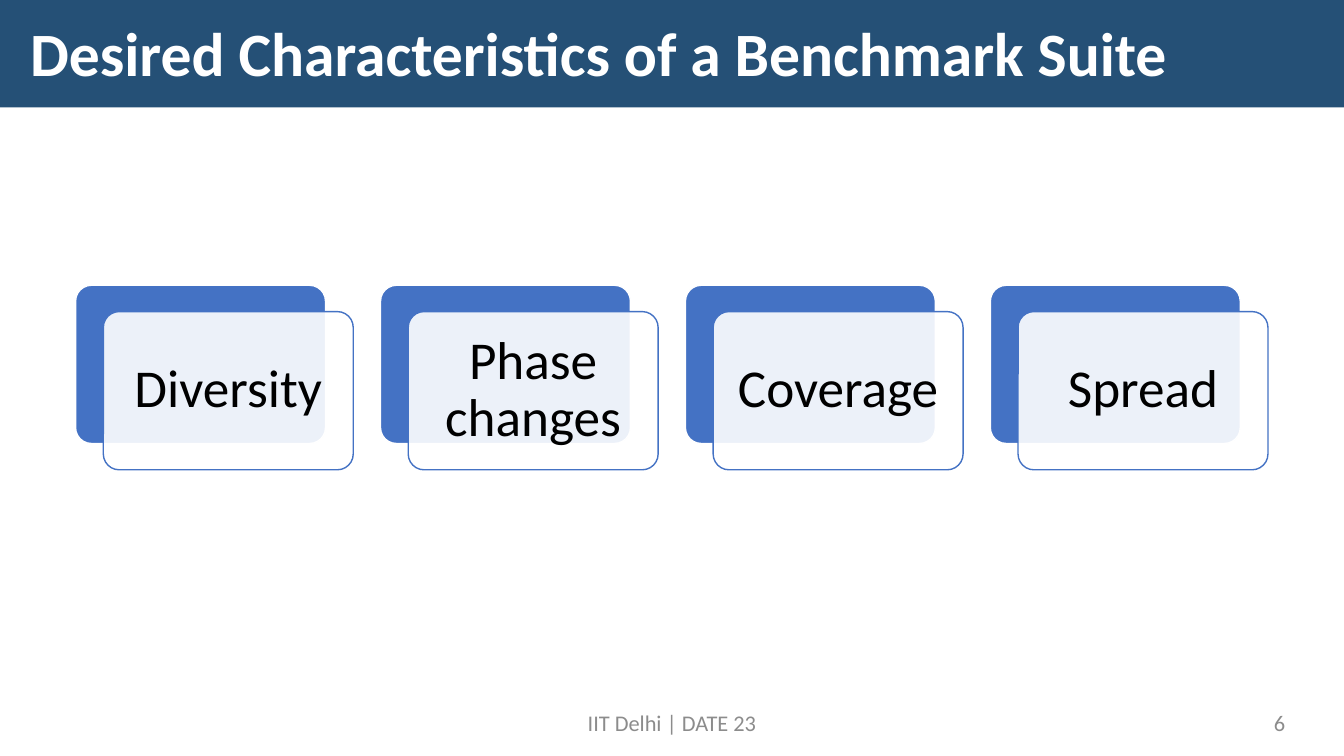
import dataclasses

import pptx
import pptx.dml.color
import pptx.enum.shapes
import pptx.enum.text
import pptx.oxml
import pptx.oxml.ns
import pptx.util

Pt = pptx.util.Pt
Align = pptx.enum.text.PP_ALIGN
Anchor = pptx.enum.text.MSO_ANCHOR
Kind = pptx.enum.shapes.MSO_SHAPE

COLORS = {
    "banner": "255076",
    "card": "4472C4",
    "white": "FFFFFF",
    "text": "000000",
    "footer": "8C8C8C",
}
FONT = "Calibri"
CHARACTERISTICS = ["Diversity", "Phase changes", "Coverage", "Spread"]
CARD_LEFT, CARD_TOP, CARD_STEP = 54, 203.8, 217.8
CARD_WIDTH, CARD_HEIGHT = 178.5, 113
PANEL_SHIFT_X, PANEL_SHIFT_Y = 19.8, 18.8
PANEL_MARGIN = 11.5


@dataclasses.dataclass
class Area:
    left: float
    top: float
    width: float
    height: float

    def lengths(self) -> list:
        return [Pt(self.left), Pt(self.top), Pt(self.width), Pt(self.height)]


@dataclasses.dataclass
class Style:
    size: float
    color: str
    align: Align
    anchor: Anchor
    bold: bool = False
    spacing: float = 1.0
    wrap: bool = True


@dataclasses.dataclass
class Label:
    text: str
    area: Area
    style: Style


def rgb(name: str) -> pptx.dml.color.RGBColor:
    return pptx.dml.color.RGBColor.from_string(COLORS[name])


def write(box, text: str, style: Style) -> None:
    frame = box.text_frame
    frame.text = text
    frame.word_wrap = style.wrap
    frame.vertical_anchor = style.anchor
    para = frame.paragraphs[0]
    para.alignment = style.align
    para.line_spacing = style.spacing
    font = para.runs[0].font
    font.name = FONT
    font.size = Pt(style.size)
    font.bold = style.bold
    font.color.rgb = rgb(style.color)


def add_label(page, label: Label) -> None:
    box = page.shapes.add_textbox(*label.area.lengths())
    write(box, label.text, label.style)


def add_block(page, kind: Kind, area: Area, fill: str, line: str = ""):
    block = page.shapes.add_shape(kind, *area.lengths())
    block.shadow.inherit = False
    block.fill.solid()
    block.fill.fore_color.rgb = rgb(fill)
    if line:
        block.line.color.rgb = rgb(line)
        block.line.width = Pt(1)
    else:
        block.line.fill.background()
    return block


def add_rounded(page, area: Area, fill: str, line: str):
    block = add_block(page, Kind.ROUNDED_RECTANGLE, area, fill, line)
    block.adjustments[0] = 0.1
    return block


def set_opacity(block, percent: int) -> None:
    color = block.fill._xPr.find(".//" + pptx.oxml.ns.qn("a:srgbClr"))
    alpha = pptx.oxml.parse_xml(
        f'<a:alpha {pptx.oxml.ns.nsdecls("a")} val="{percent * 1000}"/>')
    color.append(alpha)


def add_card(page, text: str, left: float) -> None:
    back = Area(left, CARD_TOP, CARD_WIDTH, CARD_HEIGHT)
    add_rounded(page, back, "card", "white")
    front = Area(left + PANEL_SHIFT_X, CARD_TOP + PANEL_SHIFT_Y, CARD_WIDTH, CARD_HEIGHT)
    panel = add_rounded(page, front, "white", "card")
    set_opacity(panel, 90)
    write(panel, text, Style(38, "text", Align.CENTER, Anchor.MIDDLE, spacing=0.9))
    frame = panel.text_frame
    frame.margin_left = frame.margin_right = Pt(PANEL_MARGIN)
    frame.margin_top = frame.margin_bottom = Pt(PANEL_MARGIN)


def main() -> None:
    deck = pptx.Presentation()
    deck.slide_width, deck.slide_height = Pt(960), Pt(540)
    page = deck.slides.add_slide(deck.slide_layouts[6])

    # Title banner
    add_block(page, Kind.RECTANGLE, Area(0, 0, 960, 76.8), "banner")
    title_style = Style(44, "white", Align.LEFT, Anchor.MIDDLE, bold=True, spacing=0.9)
    add_label(page, Label("Desired Characteristics of a Benchmark Suite",
                          Area(14.4, 10, 931.6, 60.4), title_style))

    # Characteristic cards
    for index, text in enumerate(CHARACTERISTICS):
        add_card(page, text, CARD_LEFT + index * CARD_STEP)

    # Footer and page number
    add_label(page, Label("IIT Delhi | DATE 23", Area(318, 500.5, 324, 28.75),
                          Style(16, "footer", Align.CENTER, Anchor.BOTTOM)))
    add_label(page, Label("6", Area(678, 500.5, 247, 28.75),
                          Style(16, "footer", Align.RIGHT, Anchor.BOTTOM)))

    deck.save("out.pptx")


if __name__ == "__main__":
    main()
